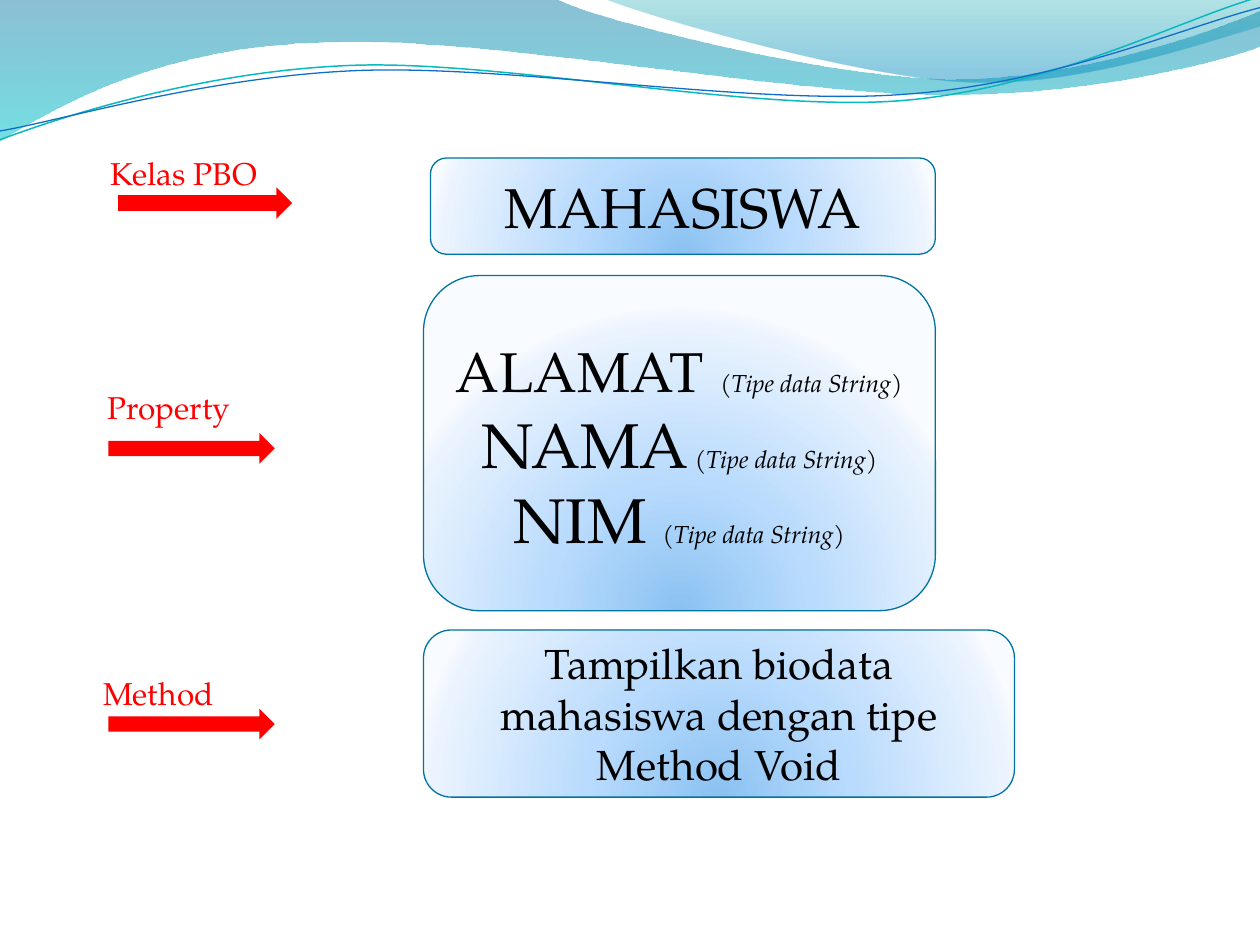
"""Build a slide that maps a class, its properties and its method."""
from dataclasses import dataclass

from pptx import Presentation
from pptx.dml.color import RGBColor
from pptx.enum.shapes import MSO_SHAPE
from pptx.enum.text import MSO_ANCHOR, PP_ALIGN
from pptx.oxml import parse_xml
from pptx.oxml.ns import nsdecls, qn
from pptx.util import Pt


@dataclass(frozen=True)
class Theme:
    font: str = "TeX Gyre Pagella"
    text: str = "000000"
    accent: str = "FF0000"
    border: str = "0074A1"
    border_width: float = 0.75
    label: float = 18
    note: float = 14
    body: float = 24
    heading: float = 32
    large: float = 36
    box_stops: tuple = ((0, "8BC2F1", 100), (43, "B9DBFD", 100),
                        (93, "EAF3FE", 100), (100, "F8FBFF", 100))


@dataclass(frozen=True)
class Wave:
    start: tuple
    segments: tuple
    stops: tuple = ()
    line: str = ""
    width: float = 0
    tilt: float = 0


@dataclass(frozen=True)
class Run:
    text: str
    size: float
    italic: bool = False


@dataclass(frozen=True)
class Box:
    at: tuple
    paragraphs: tuple


@dataclass(frozen=True)
class Pointer:
    text: str
    label_at: tuple
    arrow_at: tuple


THEME = Theme()
NOTE = Run("(Tipe data String)", THEME.note, True)
CIRCLE = ('<a:path path="circle"><a:fillToRect l="50000" t="130000" '
          'r="50000" b="-30000"/></a:path>')
DOWN = '<a:lin ang="5400000" scaled="0"/>'

WAVES = (
    Wave((0, 0), ((317, -1), (343, 12, 478, 45, 546, 45),
                  (614, 45, 690, 19, 720, 6), (721, 26),
                  (708, 32, 626, 55, 537, 54), (447, 54, 275, 20, 185, 24),
                  (93, 26, 33, 60, -1, 81)),
         stops=((0, "0074A1", 45), (100, "00C6CF", 55))),
    Wave((345, -1), ((366, 8, 491, 45, 554, 47),
                     (616, 50, 692, 23, 720, 15), (720, 0)),
         stops=((0, "00A1A9", 30), (80, "008BBF", 45))),
    Wave((-1.4, 62.9), ((33.7, 51.6, 114, 29.4, 199.8, 29.9),
                        (284.8, 30.3, 425.8, 67.2, 512.4, 64.9),
                        (599, 62.4, 676.4, 25.7, 720.2, 15.6)),
         line="0AB8BF", width=0.85, tilt=357.3),
    Wave((-1.2, 57.9), ((33, 53.8, 118.3, 32.5, 204, 33),
                        (290.5, 33.5, 428.9, 63.8, 515.5, 61.3),
                        (601.4, 59.6, 678.5, 30.1, 721.4, 21.4)),
         line="0F6FC6", width=0.75, tilt=357.3),
)
PROPERTIES = Box((242, 157.5, 292.5, 191.5), (
    (Run("ALAMAT", THEME.heading), Run(" ", THEME.large), NOTE),
    (Run("NAMA", THEME.large), Run(" ", THEME.note), NOTE),
    (Run("NIM ", THEME.large), NOTE)))
CLASS_NAME = Box((246, 90.3, 288.5, 55),
                 ((Run("MAHASISWA", THEME.heading),),))
METHOD = Box((242, 360, 337.7, 95.5), ((Run(
    "Tampilkan biodata mahasiswa dengan tipe Method Void", THEME.body),),))
DIAGRAM = (
    PROPERTIES,
    CLASS_NAME,
    Pointer("Kelas PBO", (39.5, 67.7, 131, 62.6), (67.5, 107, 99.5, 18)),
    Pointer("Property", (34, 202.5, 125, 60), (62, 247.5, 95, 17.5)),
    METHOD,
    Pointer("Method", (28, 366, 125, 60), (62, 405, 95, 17.5)),
)


def set_gradient(s, stops: tuple, direction: str) -> None:
    """Fill a shape with (position, colour, opacity) stops."""
    gs = ""
    for pos, color, opacity in stops:
        alpha = f'<a:alpha val="{opacity * 1000}"/>' if opacity < 100 else ""
        gs += (f'<a:gs pos="{pos * 1000}"><a:srgbClr val="{color}">'
               f'{alpha}</a:srgbClr></a:gs>')
    s.fill.background()
    sp_pr = s._element.spPr
    sp_pr.replace(sp_pr.find(qn("a:noFill")), parse_xml(
        f'<a:gradFill {nsdecls("a")} rotWithShape="1">'
        f'<a:gsLst>{gs}</a:gsLst>{direction}</a:gradFill>'))


def set_line(s, color: str, width: float) -> None:
    """Outline a shape."""
    s.line.color.rgb = RGBColor.from_string(color)
    s.line.width = Pt(width)


def bend(s, segments: tuple) -> None:
    """Turn each run of three control points into one cubic curve."""
    nodes = iter(s._element.spPr.findall(".//" + qn("a:lnTo")))
    for seg in segments:
        group = [next(nodes) for _ in range(len(seg) // 2)]
        if len(group) == 3:
            curve = parse_xml(f'<a:cubicBezTo {nsdecls("a")}/>')
            group[0].addprevious(curve)
            for node in group:
                curve.append(node[0])
                node.getparent().remove(node)


def draw_wave(shapes, wave: Wave) -> None:
    """Draw a filled wave or an open wavy line."""
    builder = shapes.build_freeform(*map(Pt, wave.start))
    builder.add_line_segments(
        [(Pt(seg[i]), Pt(seg[i + 1])) for seg in wave.segments
         for i in range(0, len(seg), 2)], close=bool(wave.stops))
    s = builder.convert_to_shape()
    bend(s, wave.segments)
    s.rotation = wave.tilt
    s.shadow.inherit = False
    if wave.stops:
        set_gradient(s, wave.stops, DOWN)
        s.line.fill.background()
    else:
        s.fill.background()
        set_line(s, wave.line, wave.width)


def write(s, paragraphs: tuple, color: str) -> None:
    """Write centred paragraphs of runs."""
    tf = s.text_frame
    tf.word_wrap = True
    tf.vertical_anchor = MSO_ANCHOR.MIDDLE
    for i, runs in enumerate(paragraphs):
        p = tf.add_paragraph() if i else tf.paragraphs[0]
        p.alignment = PP_ALIGN.CENTER
        for run in runs:
            r = p.add_run()
            r.text = run.text
            formats = {"name": THEME.font, "size": Pt(run.size),
                       "italic": run.italic}
            for name, value in formats.items():
                setattr(r.font, name, value)
            r.font.color.rgb = RGBColor.from_string(color)


def draw_box(shapes, box: Box) -> None:
    """Draw a rounded box with its text."""
    s = shapes.add_shape(MSO_SHAPE.ROUNDED_RECTANGLE, *map(Pt, box.at))
    s.shadow.inherit = False
    set_gradient(s, THEME.box_stops, CIRCLE)
    set_line(s, THEME.border, THEME.border_width)
    write(s, box.paragraphs, THEME.text)


def draw_pointer(shapes, pointer: Pointer) -> None:
    """Draw an arrow and its label."""
    s = shapes.add_shape(MSO_SHAPE.RIGHT_ARROW, *map(Pt, pointer.arrow_at))
    s.shadow.inherit = False
    s.fill.solid()
    s.fill.fore_color.rgb = RGBColor.from_string(THEME.accent)
    s.line.fill.background()
    label = shapes.add_textbox(*map(Pt, pointer.label_at))
    write(label, ((Run(pointer.text, THEME.label),),), THEME.accent)


def main() -> None:
    """Build and save the slide."""
    prs = Presentation()
    prs.slide_width, prs.slide_height = Pt(720), Pt(540)
    shapes = prs.slides.add_slide(prs.slide_layouts[6]).shapes
    draw = {Wave: draw_wave, Box: draw_box, Pointer: draw_pointer}
    for item in WAVES + DIAGRAM:
        draw[type(item)](shapes, item)
    prs.save("out.pptx")


main()
